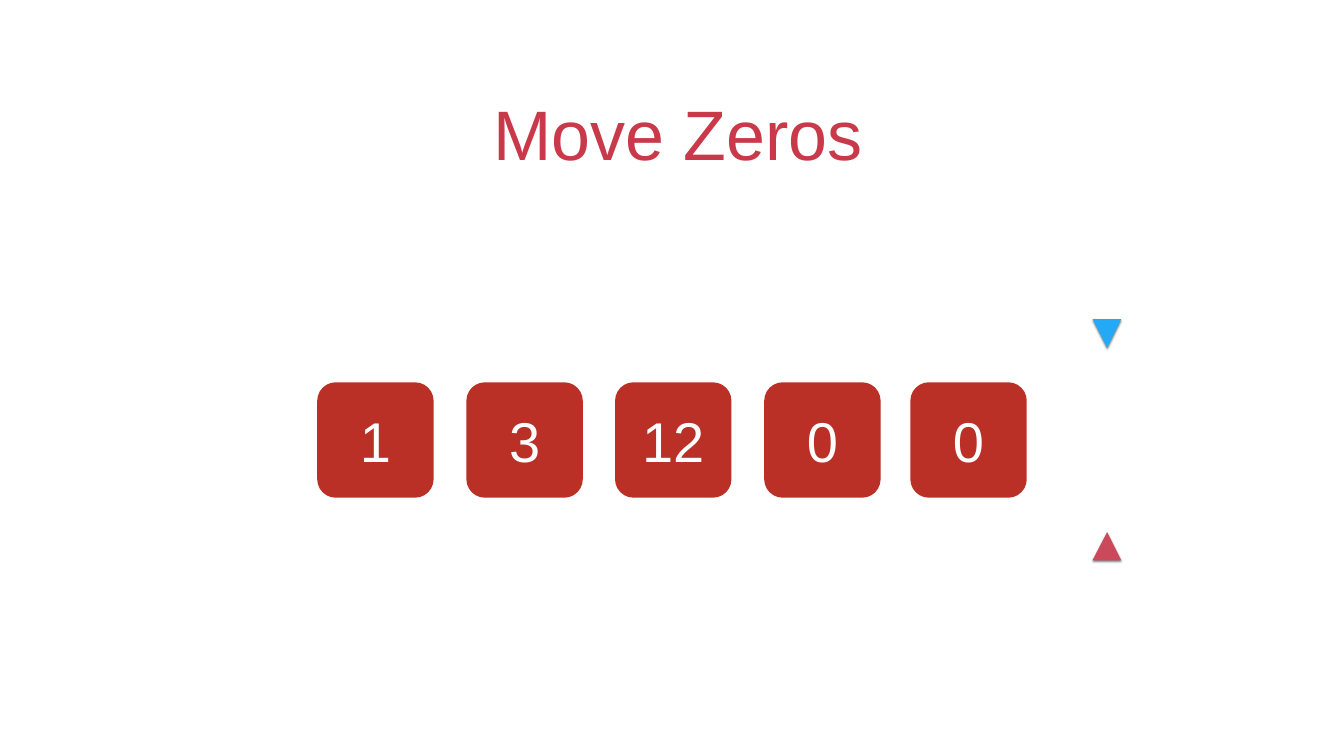
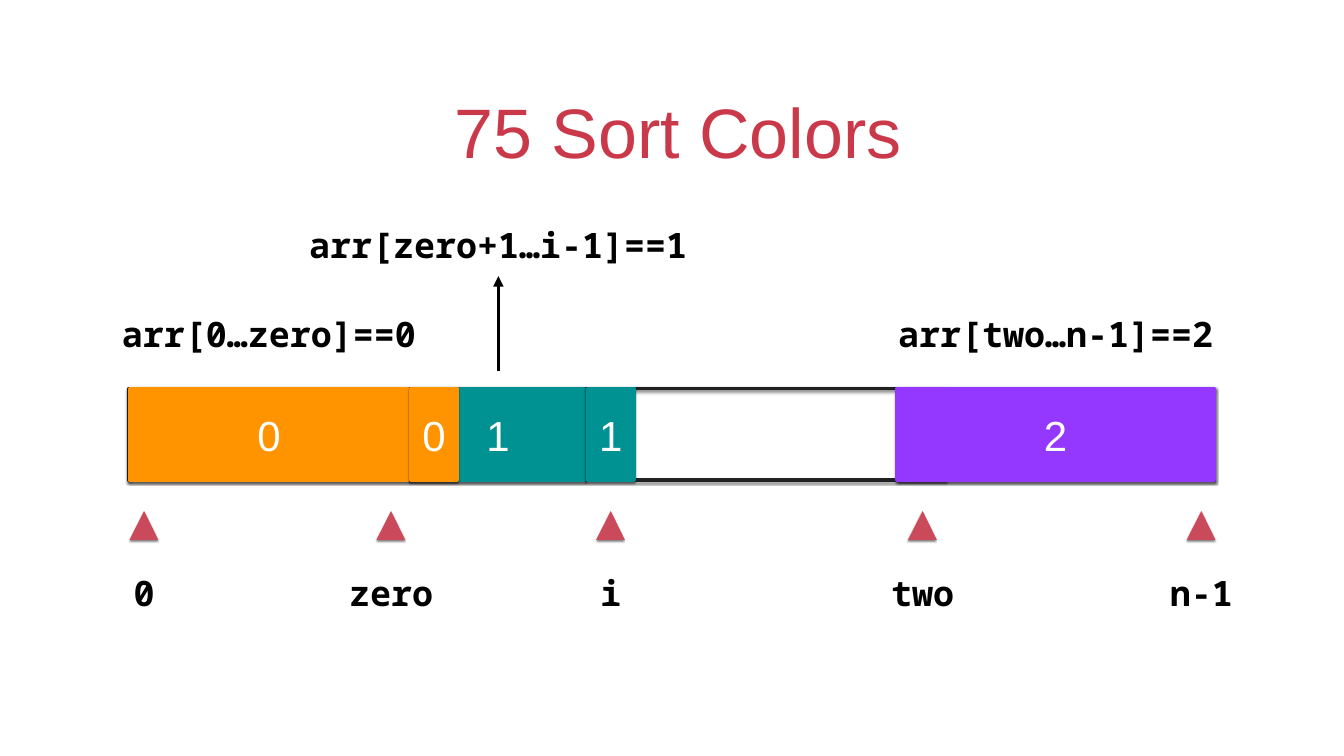
"""Build two slides on array pointers: Move Zeros and Sort Colors."""
import pptx
import pptx.dml.color
import pptx.enum.shapes
import pptx.enum.text
import pptx.oxml
import pptx.oxml.ns
import pptx.util
from lxml import etree

Inches = pptx.util.Inches
Pt = pptx.util.Pt
RGBColor = pptx.dml.color.RGBColor
qn = pptx.oxml.ns.qn
MSO_SHAPE = pptx.enum.shapes.MSO_SHAPE
MSO_ANCHOR = pptx.enum.text.MSO_ANCHOR
MSO_AUTO_SIZE = pptx.enum.text.MSO_AUTO_SIZE

COLORS = {
    "title": "C9394A", "tile": "BA3027", "blue": "23A9F6", "pointer": "CA495A",
    "zeros": "FF9300", "ones": "009193", "twos": "9437FF",
    "outline": "212121", "white": "FFFFFF", "black": "000000",
}
FORMATS = {
    "title": ({"name": "Arial", "size": Pt(100), "bold": False}, "title"),
    "tile": ({"name": "Arial", "size": Pt(80)}, "white"),
    "segment": ({"name": "Arial", "size": Pt(60)}, "white"),
    "code": ({"name": "Noto Sans Mono", "size": Pt(50), "bold": True}, "black"),
}
MARGINS = ("margin_left", "margin_top", "margin_right", "margin_bottom")
SHADOW = (
    '<a:outerShdw xmlns:a="http://schemas.openxmlformats.org/drawingml/2006/main" '
    'blurRad="38100" dist="25400" dir="5400000" rotWithShape="0">'
    '<a:srgbClr val="000000"><a:alpha val="50000"/></a:srgbClr></a:outerShdw>'
)


def write(shape, text, format_name, anchor=MSO_ANCHOR.MIDDLE, wrap=True, grow=False):
    frame = shape.text_frame
    frame.text = text
    frame.word_wrap = wrap
    frame.auto_size = MSO_AUTO_SIZE.SHAPE_TO_FIT_TEXT if grow else MSO_AUTO_SIZE.NONE
    frame.vertical_anchor = anchor
    for margin in MARGINS:
        setattr(frame, margin, Inches(0.06))
    paragraph = frame.paragraphs[0]
    paragraph.alignment = pptx.enum.text.PP_ALIGN.CENTER
    font = paragraph.runs[0].font
    values, color = FORMATS[format_name]
    for name, value in values.items():
        setattr(font, name, value)
    font.color.rgb = RGBColor.from_string(COLORS[color])
    return paragraph


def paint(shape, fill=None, line=None, shadowed=True):
    shape.shadow.inherit = False
    if fill:
        shape.fill.solid()
        shape.fill.fore_color.rgb = RGBColor.from_string(COLORS[fill])
    else:
        shape.fill.background()
    if line:
        shape.line.color.rgb = RGBColor.from_string(COLORS[line])
        shape.line.width = Pt(5)
    else:
        shape.line.fill.background()
    if shadowed:
        effects = shape._element.spPr.find(qn("a:effectLst"))
        effects.append(pptx.oxml.parse_xml(SHADOW))


presentation = pptx.Presentation()
presentation.slide_width = Inches(26.67)
presentation.slide_height = Inches(15)

for title_text, title_top in (("Move Zeros", 1.3), ("75 Sort Colors", 1.27)):
    slide = presentation.slides.add_slide(presentation.slide_layouts[0])
    subtitle = slide.placeholders[1]._element
    subtitle.getparent().remove(subtitle)
    title = slide.shapes.title
    title.left, title.top = Inches(1.94), Inches(title_top)
    title.width, title.height = Inches(22.78), Inches(2.22)
    paragraph = write(title, title_text, "title", MSO_ANCHOR.BOTTOM)
    paragraph.level = 1
    properties = paragraph._p.get_or_add_pPr()
    properties.set("marL", "0")
    properties.set("indent", str(Inches(0.25)))

zeros_slide, colors_slide = presentation.slides

TILES = (("1", 6.33), ("3", 9.29), ("12", 12.24), ("0", 15.2), ("0", 18.1))
for number, left in TILES:
    tile = zeros_slide.shapes.add_shape(
        MSO_SHAPE.ROUNDED_RECTANGLE, Inches(left), Inches(7.62), Inches(2.24), Inches(2.22))
    tile.adjustments[0] = 0.15
    paint(tile, "tile", "tile", shadowed=False)
    write(tile, number, "tile")

SEGMENTS = (
    ("", 2.56, 21.54, None, "outline"),
    ("0", 2.57, 5.54, "zeros", "zeros"),
    ("1", 8.17, 3.43, "ones", "ones"),
    ("", 17.85, 0.91, "twos", "twos"),
    ("2", 17.8, 6.29, "twos", "twos"),
    ("1", 11.66, 0.92, "ones", "ones"),
    ("0", 8.16, 0.91, "zeros", "zeros"),
)
for number, left, width, fill, line in SEGMENTS:
    segment = colors_slide.shapes.add_shape(
        MSO_SHAPE.RECTANGLE, Inches(left), Inches(7.71), Inches(width), Inches(1.81))
    paint(segment, fill, line)
    if number:
        write(segment, number, "segment")

middle_group = colors_slide.shapes.add_group_shape()
CAPTIONS = (
    (colors_slide.shapes, "arr[0…zero]==0", 2.28, 6.16, 6.12, 0.92, True),
    (colors_slide.shapes, "arr[two…n-1]==2", 17.49, 6.16, 6.92, 0.92, True),
    (middle_group.shapes, "arr[zero+1…i-1]==1", 5.99, 3.8, 7.79, 2.1, False),
)
for shapes, text, left, top, width, height, grow in CAPTIONS:
    caption = shapes.add_textbox(Inches(left), Inches(top), Inches(width), Inches(height))
    write(caption, text, "code", grow=grow)

arrow = middle_group.shapes.add_connector(
    pptx.enum.shapes.MSO_CONNECTOR.STRAIGHT,
    Inches(9.89), Inches(7.36), Inches(9.89), Inches(5.48))
arrow.line.color.rgb = RGBColor.from_string(COLORS["black"])
arrow.line.width = Pt(5)
etree.SubElement(arrow.line._get_or_add_ln(), qn("a:tailEnd"), type="triangle")
etree.SubElement(arrow._element.spPr, qn("a:effectLst"))

POINTERS = (
    (zeros_slide, 21.97, 10.56, 11.12, "pointer", ""),
    (zeros_slide, 21.97, 6.9, 6.33, "blue", ""),
    (colors_slide, 2.86, 10.14, 10.71, "pointer", "0"),
    (colors_slide, 7.76, 10.14, 10.71, "pointer", "zero"),
    (colors_slide, 12.12, 10.14, 10.71, "pointer", "i"),
    (colors_slide, 18.31, 10.14, 10.71, "pointer", "two"),
    (colors_slide, 23.84, 10.14, 10.71, "pointer", "n-1"),
)
for slide, center, tip, base, fill, label_text in POINTERS:
    shapes = slide.shapes.add_group_shape().shapes if label_text else slide.shapes
    builder = shapes.build_freeform(Inches(center), Inches(tip))
    builder.add_line_segments(
        [(Inches(center + 0.28), Inches(base)), (Inches(center - 0.29), Inches(base))], close=True)
    paint(builder.convert_to_shape(), fill)
    if label_text:
        width = 0.12 + 0.42 * len(label_text)
        label = shapes.add_textbox(
            Inches(center - width / 2), Inches(11.3), Inches(width), Inches(0.92))
        write(label, label_text, "code", wrap=False, grow=True)

presentation.save("out.pptx")
